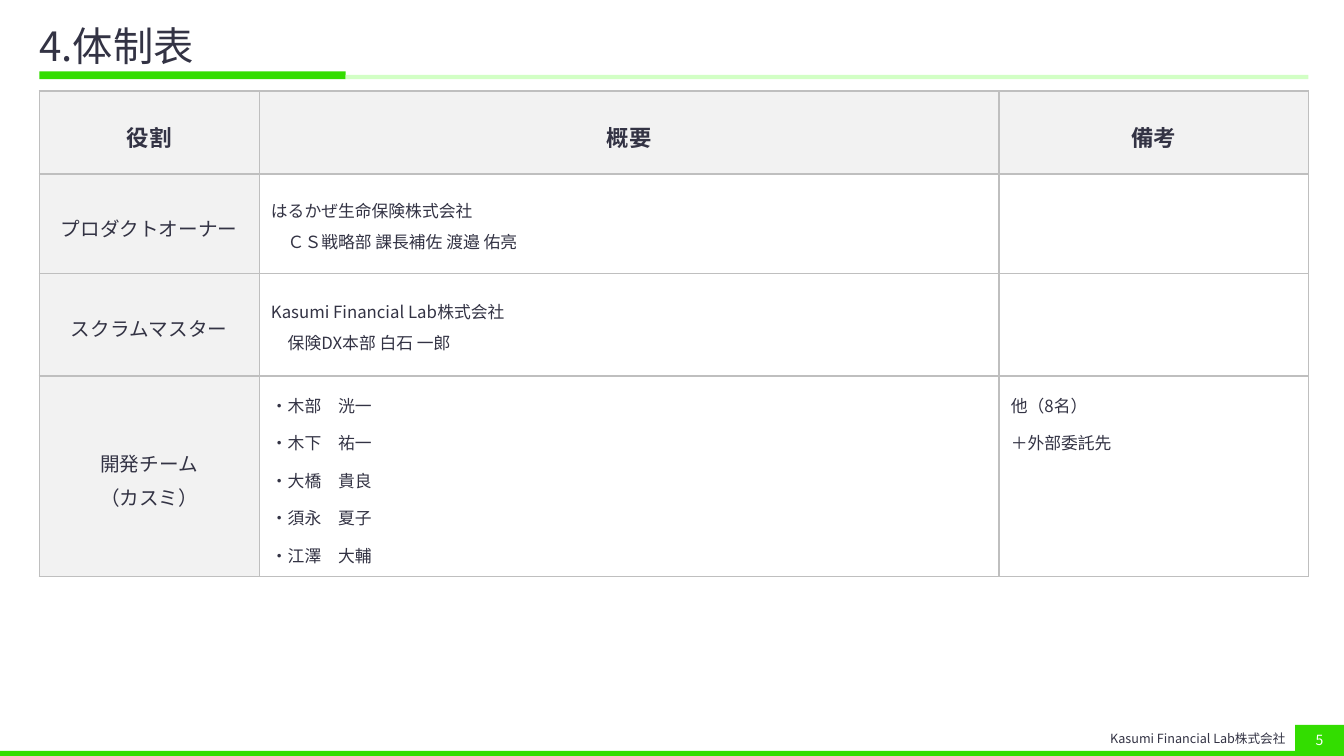
"""Build the team structure slide with its role table."""
from lxml import etree
from pptx import Presentation
from pptx import util as u
from pptx.dml.color import RGBColor
from pptx.enum import shapes, text
from pptx.oxml import ns

INK, GREEN, PALE, GRAY, WHITE = "333344", "33DD00", "D2FFC5", "F2F2F2", "FFFFFF"
BORDER = "BFBFBF"
LEFT, WIDTH = 28.1, 906.5
COMPANY = "Kasumi Financial Lab株式会社"
ALIGN, ANCHOR = text.PP_ALIGN, text.MSO_ANCHOR
HEADER = dict(size=16, bold=True, alignment=ALIGN.CENTER, line_spacing=1.2)
ROLE = dict(size=14, alignment=ALIGN.CENTER, line_spacing=1.2)
SUMMARY = dict(size=12, line_spacing=1.1, gap=3)
MEMBERS = dict(size=12, line_spacing=1.2, gap=6)
REMARK = dict(MEMBERS, alignment=ALIGN.JUSTIFY, anchor=ANCHOR.TOP)


def color(value):
    return RGBColor.from_string(value)


def set_values(target, values):
    for name, value in values.items():
        setattr(target, name, value)


class SlideBuilder:
    def __init__(self, presentation, font):
        self.slide = presentation.slides.add_slide(presentation.slide_layouts[6])
        self.font = font

    def add_lines(self, frame, lines, size, ink=INK, bold=False, gap=0, **layout):
        for index, line in enumerate(lines):
            paragraph = frame.add_paragraph() if index else frame.paragraphs[0]
            set_values(paragraph, layout)
            if index:
                paragraph.space_before = u.Pt(gap)
            run = paragraph.add_run()
            run.text = line
            set_values(run.font, dict(name=self.font, size=u.Pt(size), bold=bold))
            run.font.color.rgb = color(ink)
            properties = run._r.get_or_add_rPr()
            etree.SubElement(properties, ns.qn("a:ea"), typeface=self.font)

    def bar(self, left, top, width, height, fill):
        shape = self.slide.shapes.add_shape(
            shapes.MSO_SHAPE.RECTANGLE, *map(u.Pt, (left, top, width, height)))
        shape.shadow.inherit = False
        shape.fill.solid()
        shape.fill.fore_color.rgb = color(fill)
        shape.line.fill.background()
        return shape

    def label(self, left, top, width, height, line, margins, **style):
        shape = self.slide.shapes.add_textbox(*map(u.Pt, (left, top, width, height)))
        sides = ("margin_left", "margin_top", "margin_right", "margin_bottom")
        set_values(shape.text_frame, dict(zip(sides, map(u.Pt, margins))))
        set_values(shape.text_frame, dict(word_wrap=True, vertical_anchor=ANCHOR.MIDDLE))
        self.add_lines(shape.text_frame, [line], **style)

    def cell(self, cell, lines, fill, anchor=ANCHOR.MIDDLE, **style):
        margin = u.Pt(8.5)
        set_values(cell, dict(vertical_anchor=anchor, margin_left=margin, margin_right=margin,
                              margin_top=margin, margin_bottom=u.Pt(7.2)))
        if fill:
            cell.fill.solid()
            cell.fill.fore_color.rgb = color(fill)
        else:
            cell.fill.background()
        properties = cell._tc.get_or_add_tcPr()
        for index, side in enumerate(("lnL", "lnR", "lnT", "lnB")):
            line = etree.Element(ns.qn("a:" + side), w=str(u.Pt(1)))
            solid = etree.SubElement(line, ns.qn("a:solidFill"))
            etree.SubElement(solid, ns.qn("a:srgbClr"), val=BORDER)
            properties.insert(index, line)
        self.add_lines(cell.text_frame, lines, **style)

    def table(self, left, top, widths, heights, rows):
        frame = self.slide.shapes.add_table(
            len(heights), len(widths),
            *map(u.Pt, (left, top, sum(widths), sum(heights))))
        table = frame.table
        set_values(table, dict(first_row=False, horz_banding=False))
        for column, width in zip(table.columns, widths):
            column.width = u.Pt(width)
        for row, height in zip(table.rows, heights):
            row.height = u.Pt(height)
        for row_index, row in enumerate(rows):
            for column_index, (lines, style) in enumerate(row):
                fill = GRAY if row_index == 0 or column_index == 0 else None
                self.cell(table.cell(row_index, column_index), lines, fill, **style)


def main():
    presentation = Presentation()
    set_values(presentation, dict(slide_width=u.Pt(960), slide_height=u.Pt(540)))
    builder = SlideBuilder(presentation, "Noto Sans CJK JP")
    accent = 218.8
    builder.bar(LEFT, 51, accent, 5.6, GREEN)
    builder.bar(LEFT + accent, 53.5, WIDTH - accent, 3.1, PALE)
    builder.bar(0, 536.4, 960, 3.6, GREEN)
    builder.label(LEFT, 14.4, WIDTH, 40.3, "4.体制表", (0, 3.6, 11.5, 3.6),
                  size=28.8, line_spacing=0.9)
    builder.label(782, 518.1, 143.2, 19.4, COMPANY, (7.2, 3.6, 7.2, 3.6),
                  size=9, alignment=ALIGN.RIGHT)
    page = builder.bar(925.2, 517.7, 34.8, 22.3, GREEN)
    page.text_frame.vertical_anchor = ANCHOR.MIDDLE
    builder.add_lines(page.text_frame, ["5"], size=10, ink=WHITE, alignment=ALIGN.CENTER)

    members = ("木部　洸一", "木下　祐一", "大橋　貴良", "須永　夏子", "江澤　大輔")
    rows = [
        [([title], HEADER) for title in ("役割", "概要", "備考")],
        [(["プロダクトオーナー"], ROLE),
         (["はるかぜ生命保険株式会社", "　ＣＳ戦略部 課長補佐 渡邉 佑亮"], SUMMARY),
         ([], REMARK)],
        [(["スクラムマスター"], ROLE),
         ([COMPANY, "　保険DX本部 白石 一郎"], SUMMARY),
         ([], REMARK)],
        [(["開発チーム", "（カスミ）"], ROLE),
         (["・" + member for member in members], MEMBERS),
         (["他（8名）", "＋外部委託先"], REMARK)],
    ]
    builder.table(LEFT, 65, (157, 528.5, 221), (59.3, 71, 73.3, 143), rows)
    presentation.save("out.pptx")


if __name__ == "__main__":
    main()
